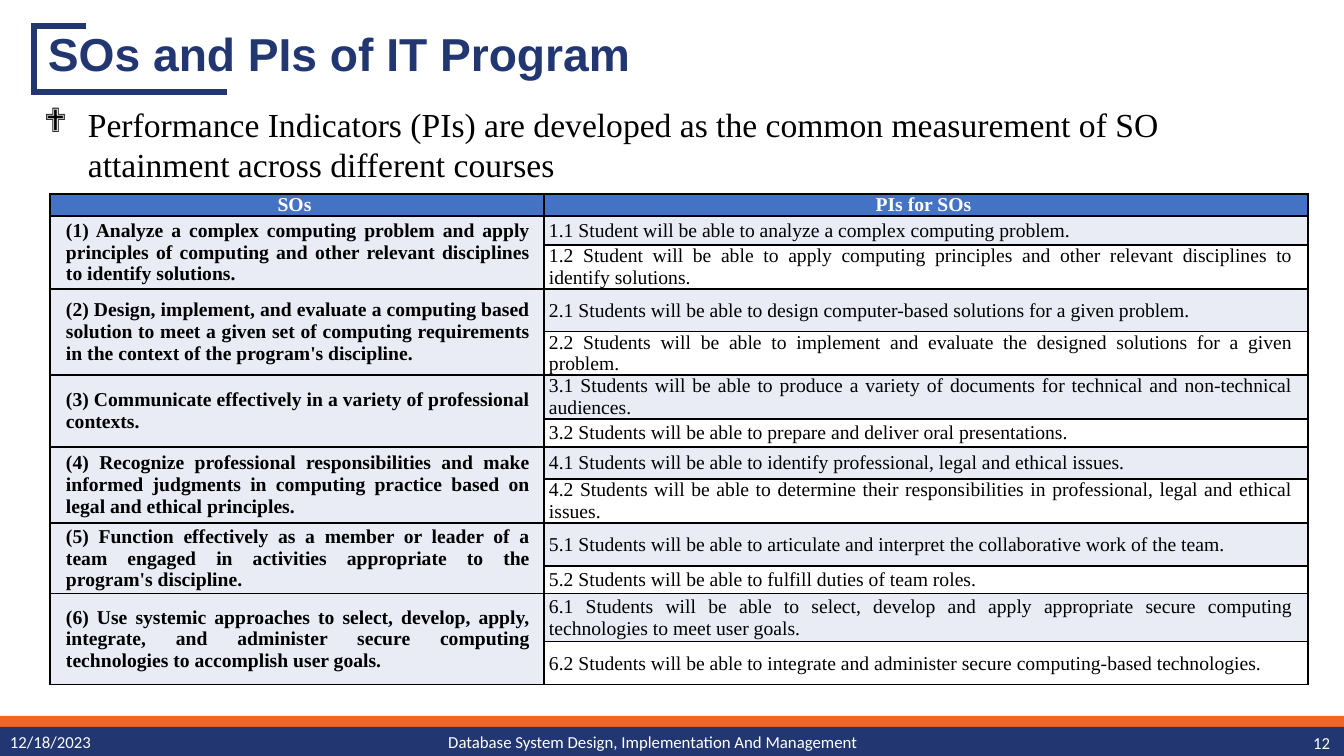
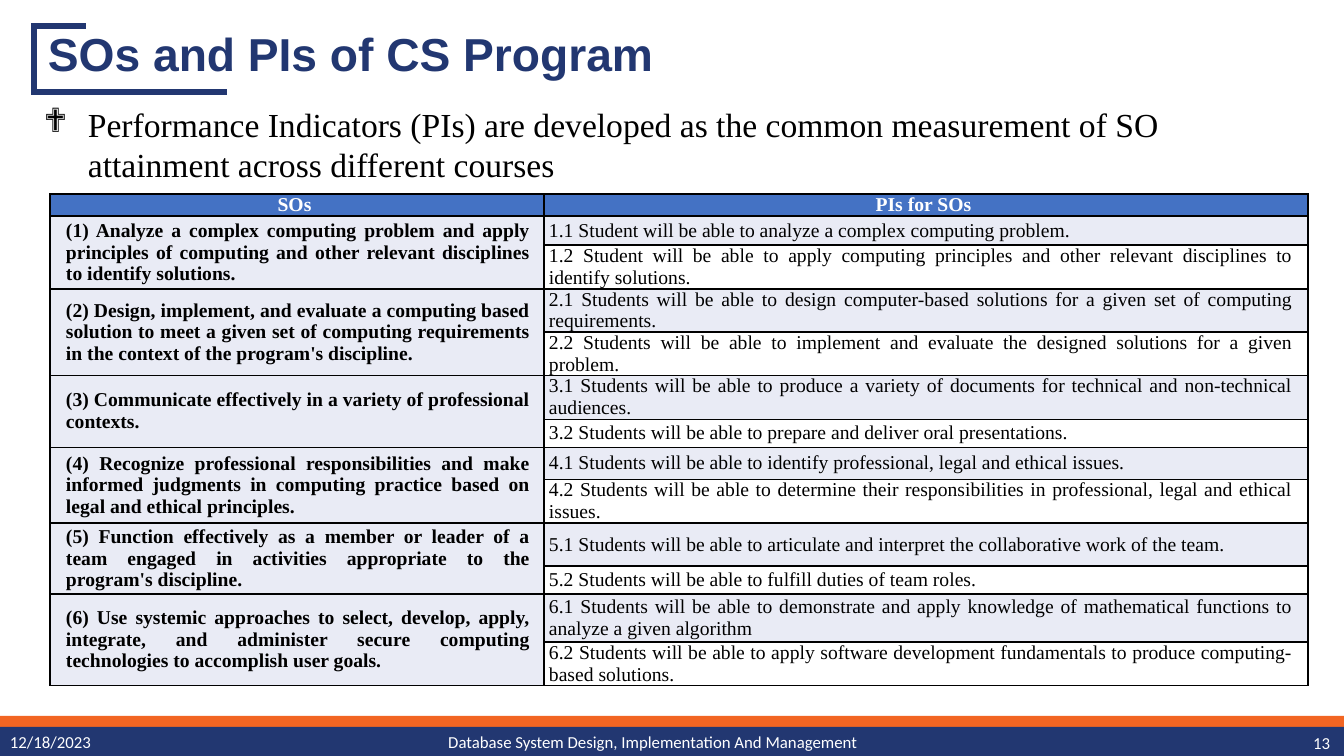
from pptx import Presentation
from pptx.dml.color import RGBColor
from pptx.enum.shapes import MSO_SHAPE as Shape
from pptx.enum.text import MSO_ANCHOR as Anchor, PP_ALIGN as Align
from pptx.oxml import parse_xml
from pptx.oxml.ns import nsdecls
from pptx.util import Emu, Pt

WIDTH, HEIGHT = 1344, 756
SCALE = 12192000 / WIDTH
COLORS = {
    "navy": "223771", "orange": "F26522", "blue": "4472C4",
    "pale": "E9EBF5", "white": "FFFFFF", "black": "000000",
}
SERIF = "Times New Roman"
DATE = "12/18/2023"
COURSE = "Database System Design, Implementation And Management"
INTRO = ("Performance Indicators (PIs) are developed as the common measurement "
         "of SO attainment across different courses")

# Student outcomes, each with its two performance indicators
OUTCOMES = [
    ("(1) Analyze a complex computing problem and apply principles of computing "
     "and other relevant disciplines to identify solutions.",
     "1.1 Student will be able to analyze a complex computing problem.",
     "1.2 Student will be able to apply computing principles and other relevant "
     "disciplines to identify solutions."),
    ("(2) Design, implement, and evaluate a computing based solution to meet a given "
     "set of computing requirements in the context of the program's discipline.",
     "2.1 Students will be able to design computer-based solutions for a given problem.",
     "2.2 Students will be able to implement and evaluate the designed solutions "
     "for a given problem."),
    ("(3) Communicate effectively in a variety of professional contexts.",
     "3.1 Students will be able to produce a variety of documents for technical "
     "and non-technical audiences.",
     "3.2 Students will be able to prepare and deliver oral presentations."),
    ("(4) Recognize professional responsibilities and make informed judgments in "
     "computing practice based on legal and ethical principles.",
     "4.1 Students will be able to identify professional, legal and ethical issues.",
     "4.2 Students will be able to determine their responsibilities in professional, "
     "legal and ethical issues."),
    ("(5) Function effectively as a member or leader of a team engaged in activities "
     "appropriate to the program's discipline.",
     "5.1 Students will be able to articulate and interpret the collaborative work "
     "of the team.",
     "5.2 Students will be able to fulfill duties of team roles."),
    ("(6) Use systemic approaches to select, develop, apply, integrate, and administer "
     "secure computing technologies to accomplish user goals.",
     "6.1 Students will be able to select, develop and apply appropriate secure "
     "computing technologies to meet user goals.",
     "6.2 Students will be able to integrate and administer secure computing-based "
     "technologies."),
]

# Indicators of the CS program that differ, by number
CS_INDICATORS = {
    "2.1": "2.1 Students will be able to design computer-based solutions for a given "
           "set of computing requirements.",
    "6.1": "6.1 Students will be able to demonstrate and apply knowledge of "
           "mathematical functions to analyze a given algorithm",
    "6.2": "6.2 Students will be able to apply software development fundamentals to "
           "produce computing-based solutions.",
}
PROGRAMS = [("IT", 12, {}), ("CS", 13, CS_INDICATORS)]
COLUMN_WIDTHS = [494, 764]
ROW_HEIGHTS = [22, 29, 44, 43, 43, 44, 28, 32, 44, 43, 28, 48, 43]


def px(length):
    return Emu(round(length * SCALE))


def color(name):
    return RGBColor.from_string(COLORS[name])


def write(frame, text, size=14, font=SERIF, ink="black", bold=False,
          align=Align.LEFT, spacing=None, bullet=None, indent=0):
    para = frame.paragraphs[0]
    if bullet:
        props = para._p.get_or_add_pPr()
        props.set("marL", str(px(indent)))
        props.set("indent", str(-px(indent)))
        props.append(parse_xml(f'<a:buFont {nsdecls("a")} typeface="Wingdings"/>'))
        props.append(parse_xml(f'<a:buChar {nsdecls("a")} char="{bullet}"/>'))
    para.alignment = align
    if spacing:
        para.line_spacing = spacing
    span = para.add_run()
    span.text = text
    span.font.size = Pt(size)
    span.font.name = font
    span.font.bold = bold
    span.font.color.rgb = color(ink)
    para._p.append(parse_xml(f'<a:endParaRPr {nsdecls("a")} sz="{size * 100}"/>'))


class Deck:
    def __init__(self):
        self.deck = Presentation()
        self.deck.slide_width, self.deck.slide_height = px(WIDTH), px(HEIGHT)
        self.page = None

    def band(self, top, height, fill):
        box = self.page.shapes.add_shape(Shape.RECTANGLE, 0, px(top), px(WIDTH), px(height))
        box.shadow.inherit = False
        box.fill.solid()
        box.fill.fore_color.rgb = color(fill)
        box.line.fill.background()

    def bracket(self, points):
        builder = self.page.shapes.build_freeform(*points[0], scale=SCALE)
        builder.add_line_segments(points[1:], close=False)
        outline = builder.convert_to_shape()
        outline.shadow.inherit = False
        outline.fill.background()
        outline.line.color.rgb = color("navy")
        outline.line.width = Pt(4.5)
        outline.line._get_or_add_ln().append(
            parse_xml(f'<a:miter {nsdecls("a")} lim="800000"/>'))

    def text(self, left, top, width, height, text, anchor=Anchor.MIDDLE, **style):
        box = self.page.shapes.add_textbox(px(left), px(top), px(width), px(height))
        box.text_frame.word_wrap = True
        box.text_frame.vertical_anchor = anchor
        write(box.text_frame, text, **style)

    def new_page(self, title, number):
        self.page = self.deck.slides.add_slide(self.deck.slide_layouts[6])
        # Footer
        self.band(716, 12, "orange")
        self.band(727, 29, "navy")
        footer = [(0, 302, 28, DATE, Align.LEFT), (426, 454, 28, COURSE, Align.CENTER),
                  (1038, 302, 30, str(number), Align.RIGHT)]
        for left, width, height, label, align in footer:
            self.text(left, 728, width, height, label, size=12, font="Calibri",
                      ink="white", align=align)
        # Title
        self.bracket([(86, 26), (34, 26), (34, 92), (227, 92)])
        self.text(38, 26, 889, 61, title, size=33, font="Arial", ink="navy",
                  bold=True, spacing=0.9)

    def cell(self, cell, text, fill, left=0, right=0, **style):
        cell.margin_left, cell.margin_right = px(left), px(right)
        # Slightly negative margins let two lines fit the tight rows
        cell.margin_top = cell.margin_bottom = px(-2)
        cell.vertical_anchor = Anchor.MIDDLE
        cell.fill.solid()
        cell.fill.fore_color.rgb = color(fill)
        if text:
            write(cell.text_frame, text, **style)
        props = cell._tc.get_or_add_tcPr()
        for position, side in enumerate("LRTB"):
            props.insert(position, parse_xml(
                f'<a:ln{side} {nsdecls("a")} w="{Pt(1)}"><a:solidFill>'
                f'<a:srgbClr val="{COLORS["black"]}"/></a:solidFill></a:ln{side}>'))

    def outcome_table(self, left, top, changes):
        frame = self.page.shapes.add_table(
            len(ROW_HEIGHTS), len(COLUMN_WIDTHS), px(left), px(top),
            px(sum(COLUMN_WIDTHS)), px(sum(ROW_HEIGHTS)))
        table = frame.table
        table.first_row = table.horz_banding = False
        for column, width in zip(table.columns, COLUMN_WIDTHS):
            column.width = px(width)
        for row, height in zip(table.rows, ROW_HEIGHTS):
            row.height = px(height)
        for index, heading in enumerate(["SOs", "PIs for SOs"]):
            self.cell(table.cell(0, index), heading, "blue", right=5, ink="white",
                      bold=True, align=Align.CENTER)
        for index, (outcome, *indicators) in enumerate(OUTCOMES):
            first = 1 + 2 * index
            table.cell(first, 0).merge(table.cell(first + 1, 0))
            for offset, (indicator, fill) in enumerate(zip(indicators, ["pale", "white"])):
                self.cell(table.cell(first + offset, 0), "" if offset else outcome, "pale",
                          left=16, right=14, bold=True, align=Align.JUSTIFY)
                self.cell(table.cell(first + offset, 1),
                          changes.get(indicator[:3], indicator), fill,
                          left=5, right=15, align=Align.JUSTIFY)


def main():
    slides = Deck()
    for program, number, changes in PROGRAMS:
        slides.new_page(f"SOs and PIs of {program} Program", number)
        slides.text(34, 99, 1273, 90, INTRO, anchor=Anchor.TOP, size=24,
                    bullet="❖", indent=44)
        slides.outcome_table(50, 194, changes)
    slides.deck.save("out.pptx")


if __name__ == "__main__":
    main()
